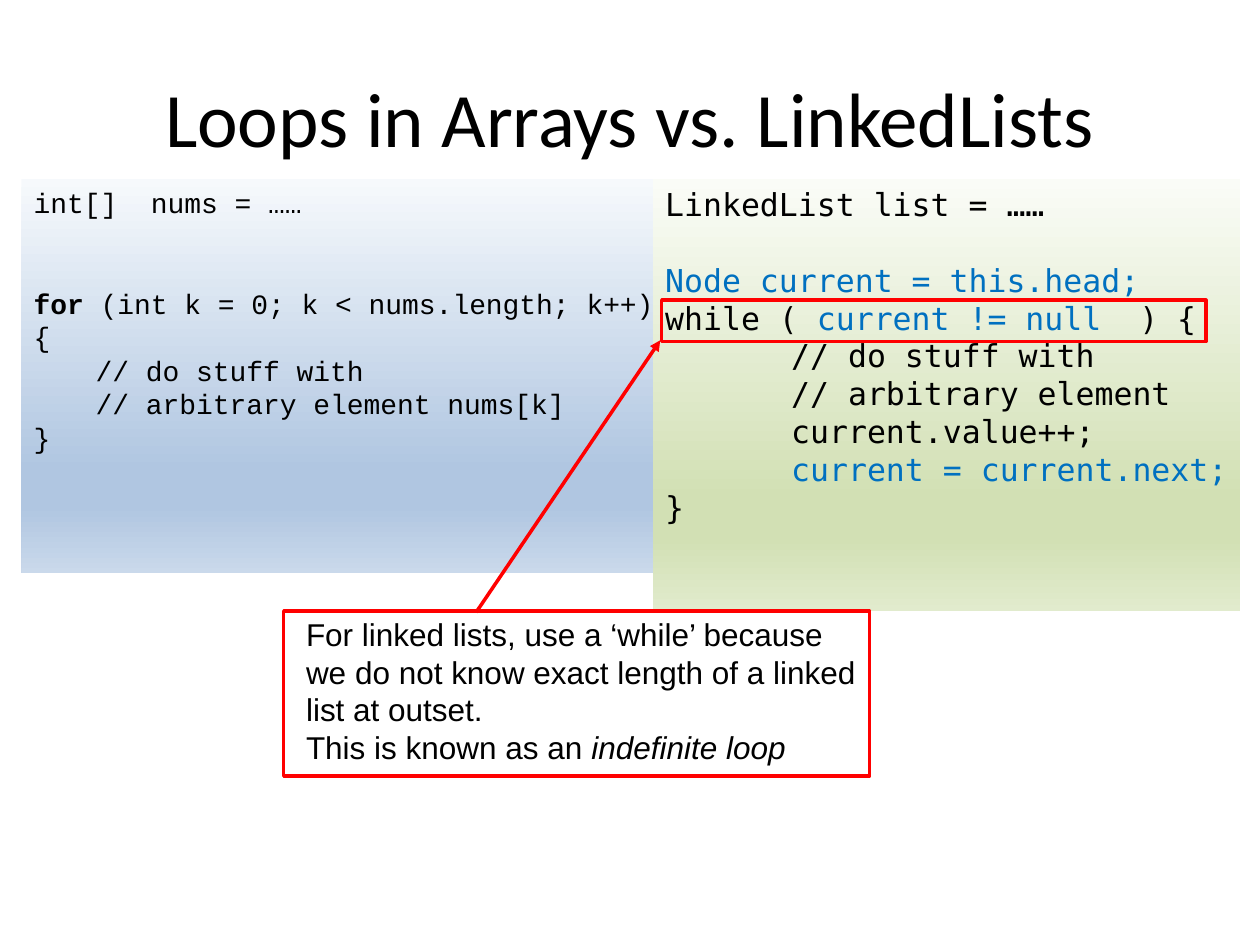
from copy import deepcopy

from lxml.etree import SubElement
from pptx import Presentation
from pptx.dml.color import RGBColor
from pptx.enum.shapes import MSO_CONNECTOR, MSO_SHAPE
from pptx.enum.text import MSO_ANCHOR, PP_ALIGN
from pptx.oxml.ns import qn
from pptx.util import Cm, Pt

BLACK, BLUE, RED = "000000", "0070C0", "FF0000"
LINE_WIDTH = Pt(2)


def colour(value):
    return RGBColor.from_string(value)


def add_rectangle(page, box):
    shape = page.shapes.add_shape(MSO_SHAPE.RECTANGLE, *map(Cm, box))
    shape.shadow.inherit = False
    shape.line.fill.background()
    return shape


def fill_gradient(shape, stops):
    """Top-to-bottom gradient from (position, colour) pairs."""
    shape.fill.gradient()
    shape.fill.gradient_angle = 270
    first = shape._element.spPr.find(".//" + qn("a:gs"))
    for _ in stops[2:]:
        first.addnext(deepcopy(first))
    for stop, (position, value) in zip(shape.fill.gradient_stops, stops):
        stop.position = position
        stop.color.rgb = colour(value)


def write_lines(frame, lines, font, size, tab=None):
    """Each line is (blank lines before it, [(text, run settings), ...])."""
    frame.word_wrap = True
    frame.vertical_anchor = MSO_ANCHOR.TOP
    pitch = 1.2 * size
    for index, (gap, spans) in enumerate(lines):
        para = frame.add_paragraph() if index else frame.paragraphs[0]
        if tab and spans[0][0].startswith("\t"):
            tabs = SubElement(para._p.get_or_add_pPr(), qn("a:tabLst"))
            SubElement(tabs, qn("a:tab"), pos=str(Cm(tab)), algn="l")
        para.alignment = PP_ALIGN.LEFT
        para.line_spacing = Pt(pitch)
        if gap:
            para.space_before = Pt(gap * pitch)
        para.font.name, para.font.size = font, Pt(size)
        para.font.color.rgb = colour(BLACK)
        for text, settings in spans:
            span = para.add_run()
            span.text = text
            if "colour" in settings:
                span.font.color.rgb = colour(settings["colour"])
            if "bold" in settings:
                span.font.bold = settings["bold"]
            if "italic" in settings:
                span.font.italic = settings["italic"]


def add_title(page, box, text):
    frame = page.shapes.add_textbox(*map(Cm, box)).text_frame
    frame.word_wrap = True
    frame.vertical_anchor = MSO_ANCHOR.MIDDLE
    para = frame.paragraphs[0]
    para.alignment = PP_ALIGN.CENTER
    para.font.name, para.font.size = "Calibri", Pt(44)
    para.font.color.rgb = colour(BLACK)
    para.add_run().text = text


def add_code_panel(page, box, shades, lines, font, size, tab):
    panel = add_rectangle(page, box)
    top, deep, bottom = shades
    fill_gradient(panel, [(0, top), (0.74, deep), (0.83, deep), (1, bottom)])
    panel.text_frame.margin_right = Cm(0.2)
    write_lines(panel.text_frame, lines, font, size, tab)


def add_outline(page, box):
    outline = add_rectangle(page, box)
    outline.fill.background()
    outline.line.color.rgb = colour(RED)
    outline.line.width = LINE_WIDTH


def add_note(page, box, lines):
    left, top, width, height = box
    add_outline(page, box)
    note = page.shapes.add_textbox(Cm(left + 0.2), Cm(top - 0.05), Cm(width), Cm(height))
    write_lines(note.text_frame, lines, "Arial", 18)


def add_arrow(page, start, end):
    arrow = page.shapes.add_connector(MSO_CONNECTOR.STRAIGHT, *map(Cm, start + end))
    arrow.line.color.rgb = colour(RED)
    arrow.line.width = LINE_WIDTH
    SubElement(arrow.line._get_or_add_ln(), qn("a:tailEnd"), type="triangle")
    SubElement(arrow._element.spPr, qn("a:effectLst"))


ARRAY_CODE = [
    (0, [("int[]  nums = ……", {})]),
    (2, [("for", {"bold": True}), (" (int k = 0; k < nums.length; k++) {", {})]),
    (0, [("\t// do stuff with", {})]),
    (0, [("\t// arbitrary element nums[k]", {})]),
    (0, [("}", {})]),
]
LIST_CODE = [
    (0, [("LinkedList list = ……", {})]),
    (1, [("Node current = this.head;", {"colour": BLUE})]),
    (0, [("while ( ", {}), ("current != null  ", {"colour": BLUE}), (") {", {})]),
    (0, [("\t// do stuff with", {})]),
    (0, [("\t// arbitrary element", {})]),
    (0, [("\tcurrent.value++;", {})]),
    (0, [("\t", {}), ("current = current.next;", {"colour": BLUE})]),
    (0, [("}", {})]),
]
NOTE = [
    (0, [("For linked lists, use a ‘while’ because we do not know exact length "
          "of a linked list at outset.", {})]),
    (0, [("This is known as an ", {}), ("indefinite loop", {"italic": True})]),
]


def main():
    deck = Presentation()
    deck.slide_width, deck.slide_height = Cm(25.4), Cm(19.05)
    page = deck.slides.add_slide(deck.slide_layouts[6])

    add_title(page, (1.27, 0.76, 22.86, 3.18), "Loops in Arrays vs. LinkedLists")

    # Code side by side: array on the left, linked list on the right
    add_code_panel(page, (0.43, 3.61, 13.54, 7.95), ("F6F9FC", "B0C6E1", "CAD9EB"),
                   ARRAY_CODE, "Courier New", 16, 1.25)
    add_code_panel(page, (13.16, 3.61, 11.84, 8.71), ("FAFCF7", "D2E0B4", "E1EBCD"),
                   LIST_CODE, "DejaVu Sans Mono", 18, 2.54)

    # Note, highlighted loop condition and the arrow between them
    add_note(page, (5.72, 12.32, 11.81, 3.33), NOTE)
    add_outline(page, (13.34, 6.05, 10.97, 0.84))
    add_arrow(page, (9.6, 12.34), (13.31, 6.86))

    deck.save("out.pptx")


if __name__ == "__main__":
    main()
